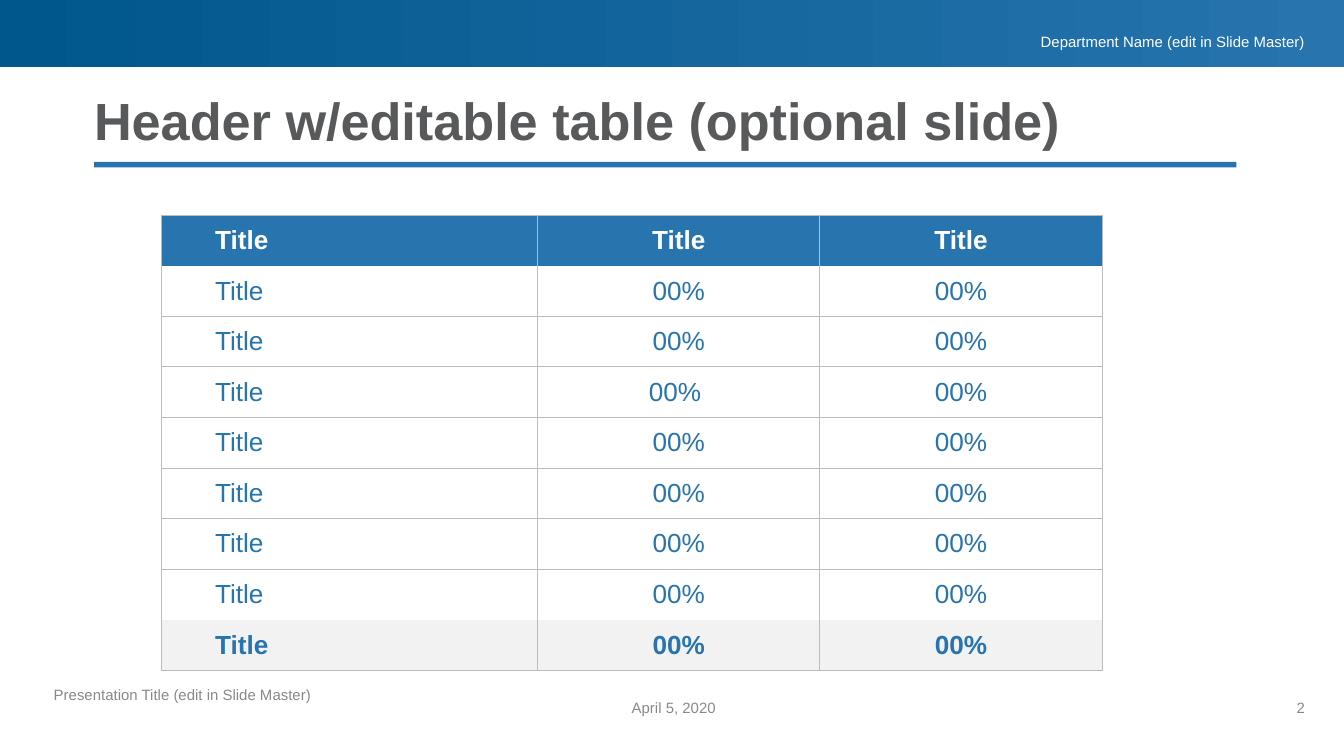
from lxml.etree import SubElement
from pptx import Presentation
from pptx.dml.color import RGBColor
from pptx.enum.dml import MSO_THEME_COLOR
from pptx.enum.shapes import MSO_SHAPE
from pptx.enum.text import MSO_ANCHOR, PP_ALIGN
from pptx.oxml.ns import qn
from pptx.util import Inches, Pt

COLORS = {
    "blue": "2774AE", "dark_blue": "00578B", "gray": "58595B", "footer": "898989",
    "rule": "BBBCBE", "total": "F2F2F2", "white": "FFFFFF",
}

deck = Presentation()
deck.slide_width = Inches(10)
deck.slide_height = deck.slide_width * 9 // 16
page = deck.slides.add_slide(deck.slide_layouts[6])
unit = deck.slide_width // 100  # square grid, 100 columns across the slide


def style_text(para, size, color, bold=False, align=PP_ALIGN.LEFT):
    para.alignment = align
    for span in para.runs:
        span.font.name = "Arial"
        span.font.size = Pt(size)
        span.font.bold = bold
        span.font.color.rgb = RGBColor.from_string(COLORS[color])


def set_margins(target, left, top, right, bottom):
    target.margin_left, target.margin_top = int(left * unit), int(top * unit)
    target.margin_right, target.margin_bottom = int(right * unit), int(bottom * unit)


# Title rule and top band
bars = []
for left, top, width, height in [(7, 12.05, 85, 0.4), (0, 0, 100, 5)]:
    bar = page.shapes.add_shape(
        MSO_SHAPE.RECTANGLE, *(int(n * unit) for n in (left, top, width, height)))
    bar.shadow.inherit = False
    bar.fill.solid()
    bar.fill.fore_color.rgb = RGBColor.from_string(COLORS["blue"])
    bar.line.fill.background()
    bars.append(bar)

band = bars[1]
band.fill.gradient()
band.fill.gradient_angle = 0
for stop, name, position in zip(band.fill.gradient_stops, ("dark_blue", "blue"), (0, 1)):
    stop.color.rgb = RGBColor.from_string(COLORS[name])
    stop.position = position

# Department, footers and title: place, margins, size, color, bold, alignment, spacing
texts = [
    ("Department Name (edit in Slide Master)", (72, 2.3, 25.1, 1.4), (1, 0.1, 0, 0.1),
     8, "white", False, PP_ALIGN.RIGHT, 1),
    ("Presentation Title (edit in Slide Master)", (4, 51.2, 39, 4), (0, 0, 0, 0),
     8, "footer", False, PP_ALIGN.LEFT, 0.9),
    ("April 5, 2020", (47, 52, 22.5, 4), (0, 0, 0, 0),
     8, "footer", False, PP_ALIGN.LEFT, 1),
    ("2", (92.1, 52, 5, 4), (0, 0, 0, 0),
     8, "footer", False, PP_ALIGN.RIGHT, 1),
    ("Header w/editable table (optional slide)", (7, 7, 85, 4.3), (0, 0, 0, 0),
     28, "gray", True, PP_ALIGN.LEFT, 0.9),
]
for text, place, margins, size, color, bold, align, spacing in texts:
    box = page.shapes.add_textbox(*(int(n * unit) for n in place))
    frame = box.text_frame
    frame.word_wrap = True
    frame.vertical_anchor = MSO_ANCHOR.BOTTOM if bold else MSO_ANCHOR.TOP
    set_margins(frame, *margins)
    frame.text = text
    frame.paragraphs[0].line_spacing = spacing
    style_text(frame.paragraphs[0], size, color, bold, align)

# Table: a header, seven body rows and a total
rows = [["Title"] * 3] + [["Title", "00%", "00%"] for _ in range(8)]
rows[3][1] = "00% "
last = len(rows) - 1
table = page.shapes.add_table(
    len(rows), 3, 12 * unit, 16 * unit, 70 * unit, 34 * unit).table
for column, share in zip(table.columns, (0.4, 0.3, 0.3)):
    column.width = int(70 * unit * share)
for row in table.rows:
    row.height = int(33.9 * unit / len(rows))

for r, values in enumerate(rows):
    fill = "blue" if r == 0 else "total" if r == last else "white"
    # The header and the total have no line towards the body
    sides = {"lnL": True, "lnR": True,
             "lnT": r not in (1, last), "lnB": r not in (0, last - 1)}
    for c, value in enumerate(values):
        cell = table.cell(r, c)
        cell.text = value
        cell.vertical_anchor = MSO_ANCHOR.MIDDLE
        set_margins(cell, 1 if c else 4, 0.5, 1, 0.5)
        style_text(cell.text_frame.paragraphs[0], 14, "white" if r == 0 else "blue",
                   r in (0, last), PP_ALIGN.CENTER if c else PP_ALIGN.LEFT)
        properties = cell._tc.get_or_add_tcPr()
        for side, drawn in sides.items():
            line = SubElement(properties, qn("a:" + side), w=str(Pt(0.5)))
            if drawn:
                paint = SubElement(line, qn("a:solidFill"))
                SubElement(paint, qn("a:srgbClr"), val=COLORS["rule"])
            else:
                SubElement(line, qn("a:noFill"))
        cell.fill.solid()
        cell.fill.fore_color.rgb = RGBColor.from_string(COLORS[fill])

deck.save("out.pptx")
